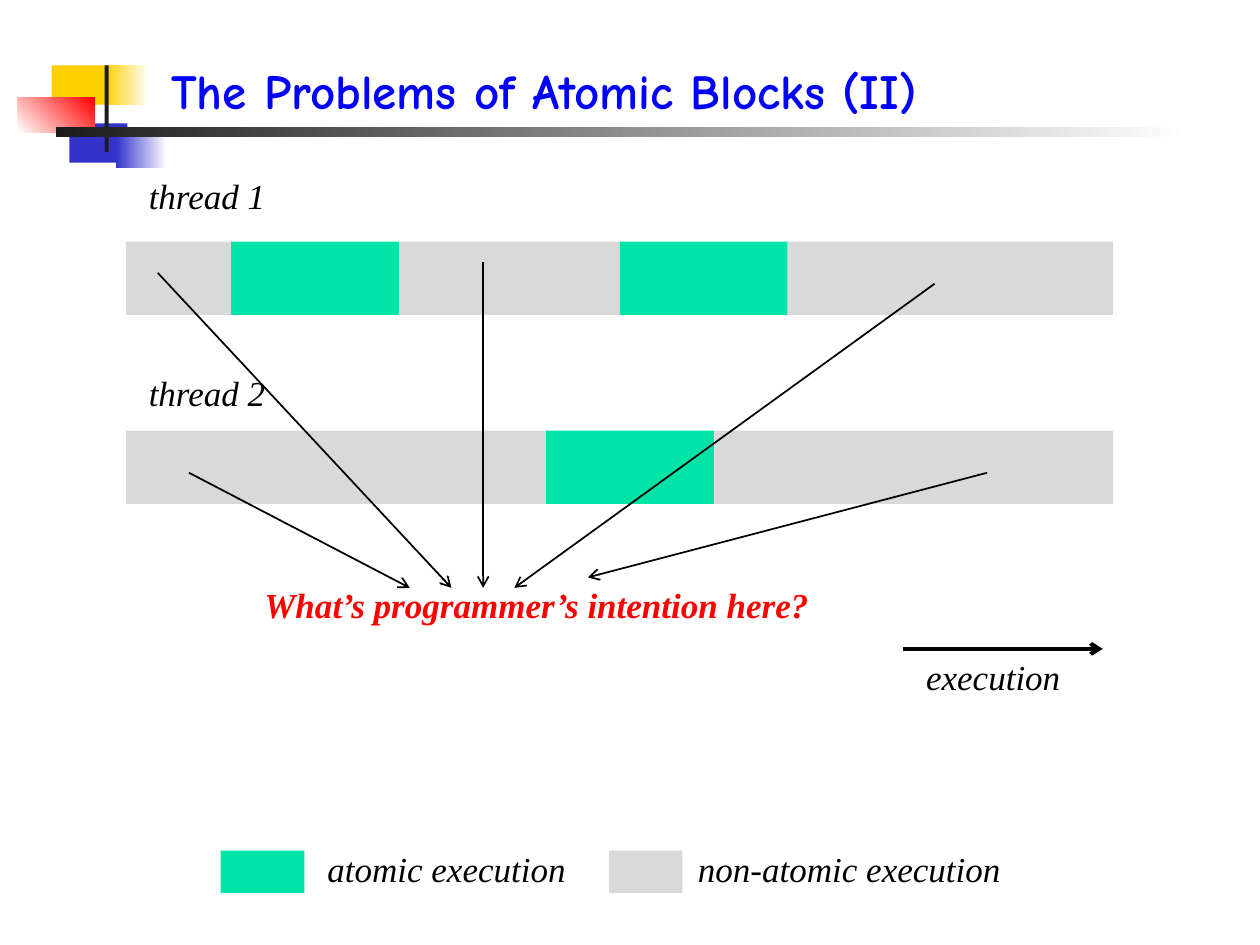
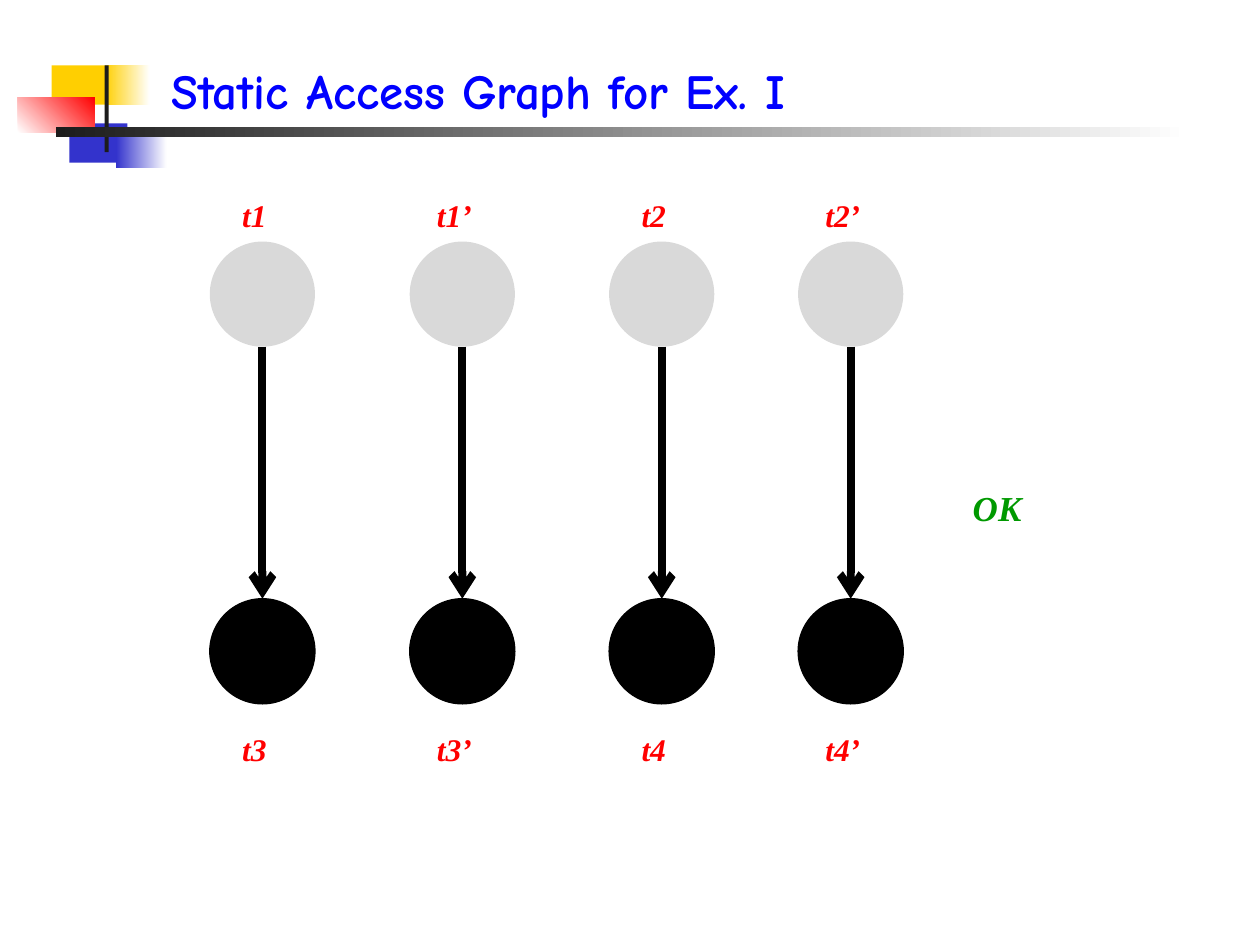
from lxml import etree
from pptx import Presentation
from pptx.dml.color import RGBColor
from pptx.enum import shapes, text
from pptx.oxml.ns import qn
from pptx.util import Cm, Pt

BLACK = RGBColor(0x00, 0x00, 0x00)
WHITE = RGBColor(0xFF, 0xFF, 0xFF)
RED = RGBColor(0xFF, 0x00, 0x00)
YELLOW = RGBColor(0xFF, 0xCF, 0x01)
INDIGO = RGBColor(0x33, 0x33, 0xCC)
CHARCOAL = RGBColor(0x1C, 0x1C, 0x1C)
TITLE_BLUE = RGBColor(0x00, 0x00, 0xFF)
ATOMIC_GREEN = RGBColor(0x00, 0xE4, 0xA8)
PLAIN_GREY = RGBColor(0xD9, 0xD9, 0xD9)
OK_GREEN = RGBColor(0x00, 0x99, 0x00)

RECTANGLE = shapes.MSO_SHAPE.RECTANGLE
OVAL = shapes.MSO_SHAPE.OVAL


def draw_shape(page, kind, left, top, width, height, color, fade_to=None, angle=0):
    """Add a borderless shape, solid or fading from one colour to another."""
    shape = page.shapes.add_shape(kind, Cm(left), Cm(top), Cm(width), Cm(height))
    shape.shadow.inherit = False
    shape.line.fill.background()
    if fade_to is None:
        shape.fill.solid()
        shape.fill.fore_color.rgb = color
    else:
        shape.fill.gradient()
        shape.fill.gradient_angle = angle
        for stop, stop_color in zip(shape.fill.gradient_stops, (color, fade_to)):
            stop.color.rgb = stop_color
    return shape


def draw_label(page, words, left, top, width, size=20, color=BLACK, bold=False, centered=False):
    """Add one line of italic text; centered labels keep their box width."""
    box = page.shapes.add_textbox(Cm(left), Cm(top), Cm(width), Cm(1.12))
    frame = box.text_frame
    frame.word_wrap = centered
    frame.auto_size = text.MSO_AUTO_SIZE.SHAPE_TO_FIT_TEXT
    para = frame.paragraphs[0]
    para.text = words
    para.alignment = text.PP_ALIGN.CENTER if centered else text.PP_ALIGN.LEFT
    para.space_before = Pt(2.5)
    font = para.font
    font.name, font.size = "Times New Roman", Pt(size)
    font.bold, font.italic = bold, True
    font.color.rgb = color


deck = Presentation()
deck.slide_width, deck.slide_height = Cm(25.4), Cm(19.05)
layout = deck.slide_layouts[5]

# Title position, shared through the layout
layout_title = layout.placeholders[0]
layout_title.left, layout_title.top = Cm(3.2), Cm(0.64)
layout_title.width, layout_title.height = Cm(21.64), Cm(1.9)

# Pages and their titles
pages = []
for words in ("The Problems of Atomic Blocks (II)", "Static Access Graph for Ex. I"):
    page = deck.slides.add_slide(layout)
    frame = page.shapes.title.text_frame
    frame.text = words
    frame.vertical_anchor = text.MSO_ANCHOR.BOTTOM
    frame.auto_size = text.MSO_AUTO_SIZE.NONE
    para = frame.paragraphs[0]
    para.alignment = text.PP_ALIGN.LEFT
    para.font.name, para.font.size, para.font.bold = "Comic Neue", Pt(28), True
    para.font.color.rgb = TITLE_BLUE
    pages.append(page)
threads_page, graph_page = pages

# Corner blocks and title rule, moved into the layout
decoration = [
    (1.04, 1.32, 1.22, 0.79, YELLOW),
    (2.11, 1.32, 0.91, 0.79, YELLOW, WHITE),
    (1.4, 2.49, 1.17, 0.79, INDIGO),
    (2.34, 2.59, 1.02, 0.79, INDIGO, WHITE),
    (0.36, 1.96, 1.55, 0.71, WHITE, RED, 45),
    (2.11, 1.32, 0.08, 1.75, CHARCOAL),
    (1.12, 2.57, 22.86, 0.2, CHARCOAL, WHITE),
]
for index, block in enumerate(decoration):
    shape = draw_shape(threads_page, RECTANGLE, *block)
    shape.element.nvSpPr.cNvPr.id = 20 + index
    layout.shapes.element.insert(2 + index, shape.element)

# Thread bars: plain and atomic stretches alternate
threads = [
    ("thread 1", 3.39, 4.87, (2.12, 3.39, 4.44, 3.39, 6.56)),
    ("thread 2", 7.37, 8.68, (8.47, 3.39, 8.04)),
]
for name, label_top, bar_top, stretches in threads:
    left = 2.54
    for index, width in enumerate(stretches):
        color = ATOMIC_GREEN if index % 2 else PLAIN_GREY
        draw_shape(threads_page, RECTANGLE, left, bar_top, width, 1.48, color)
        left += width
    draw_label(threads_page, name, 2.75, label_top, 3.15)

# Question, time axis label and legend
draw_label(threads_page, "What’s programmer’s intention here?", 5.08, 11.64, 11.81,
           color=RED, bold=True)
draw_label(threads_page, "execution", 18.42, 13.08, 3.61)
draw_shape(threads_page, RECTANGLE, 4.45, 17.15, 1.69, 0.85, ATOMIC_GREEN)
draw_label(threads_page, "atomic execution", 6.35, 16.95, 5.77)
draw_shape(threads_page, RECTANGLE, 12.28, 17.15, 1.48, 0.85, PLAIN_GREY)
draw_label(threads_page, "non-atomic execution", 13.82, 16.95, 7.14)

# Arrows: page, start, end, line width
arrows = [
    (threads_page, (18.2, 13.08), (22.23, 13.08), 2.25),
    (threads_page, (3.18, 5.5), (9.1, 11.85), 1),
    (threads_page, (9.74, 5.29), (9.74, 11.85), 1),
    (threads_page, (18.84, 5.72), (10.37, 11.85), 1),
    (threads_page, (3.81, 9.53), (8.26, 11.85), 1),
    (threads_page, (19.9, 9.53), (11.85, 11.64), 1),
]

# Access graph: one column per pair of nodes
diameter, upper_top, lower_top = 2.12, 4.87, 12.07
label_width = 7.2
columns = [(5.29, "t1", "t3"), (9.32, "t1’", "t3’"), (13.34, "t2", "t4"), (17.15, "t2’", "t4’")]
for center, upper_name, lower_name in columns:
    left = center - diameter / 2
    draw_shape(graph_page, OVAL, left, upper_top, diameter, diameter, PLAIN_GREY)
    node = draw_shape(graph_page, OVAL, left, lower_top, diameter, diameter, BLACK)
    node.line.color.rgb = BLACK
    node.line.width = Pt(0.75)
    for name, top in ((upper_name, 3.82), (lower_name, 14.6)):
        draw_label(graph_page, name, center - label_width / 2 - 0.16, top, label_width,
                   size=18, color=RED, bold=True, centered=True)
    arrows.append((graph_page, (center, upper_top + diameter), (center, lower_top), 4.5))
draw_label(graph_page, "OK", 19.36, 9.68, 1.75, color=OK_GREEN, bold=True)

# Draw all arrows on top
for page, start, end, width in arrows:
    arrow = page.shapes.add_connector(
        shapes.MSO_CONNECTOR.STRAIGHT, *(Cm(length) for length in start + end))
    arrow.line.color.rgb = BLACK
    arrow.line.width = Pt(width)
    outline = arrow.element.spPr.find(qn("a:ln"))
    etree.SubElement(outline, qn("a:tailEnd"), type="arrow")
    etree.SubElement(arrow.element.spPr, qn("a:effectLst"))

deck.save("out.pptx")
